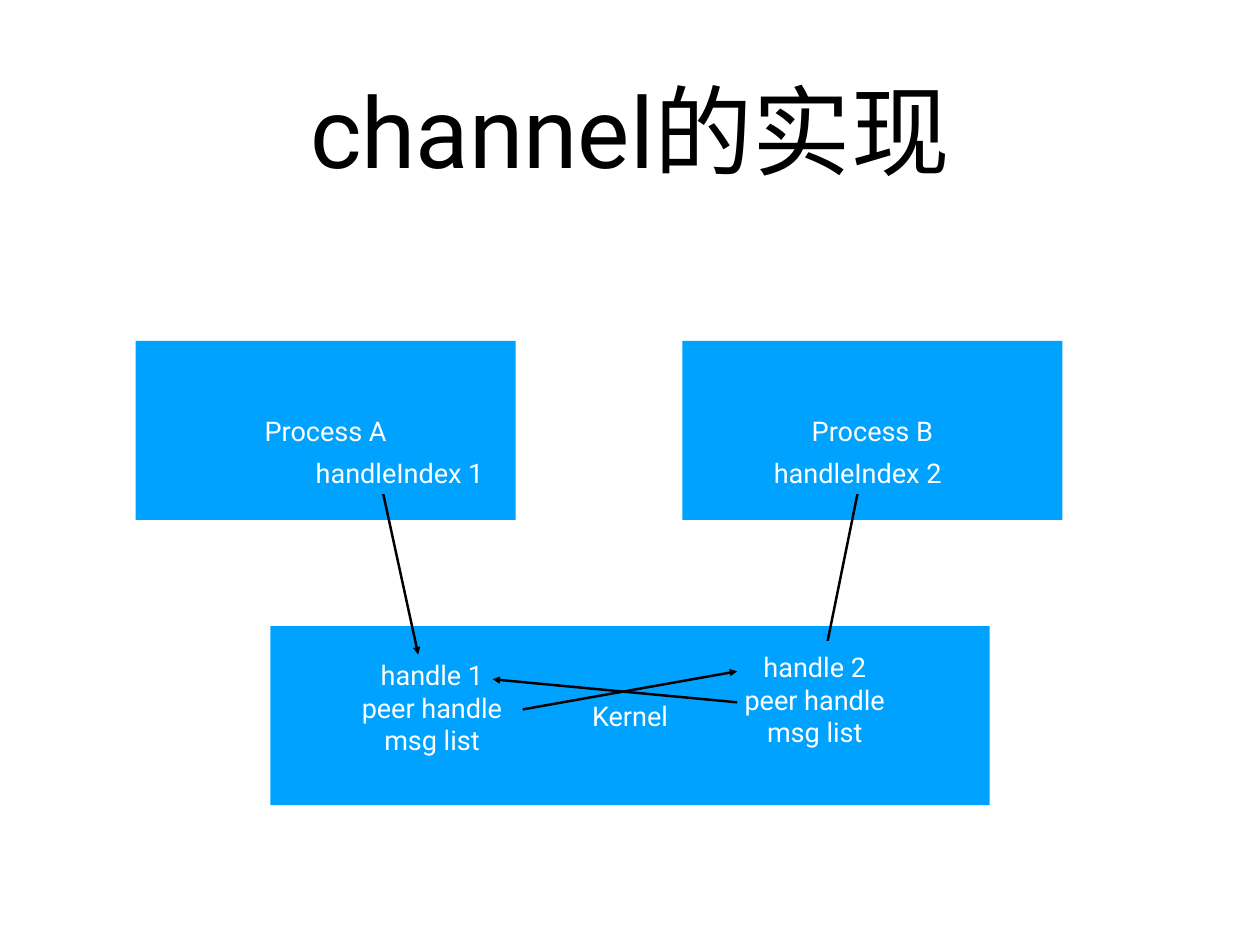
"""Build the slide that shows how a channel links two processes through the kernel."""
from pptx import Presentation
from pptx.dml.color import RGBColor
from pptx.enum.shapes import MSO_CONNECTOR as Connector, MSO_SHAPE as Shape
from pptx.enum.text import MSO_ANCHOR as Anchor, MSO_AUTO_SIZE as AutoSize, PP_ALIGN as Align
from pptx.oxml.ns import qn
from pptx.util import Inches, Pt
from lxml.etree import SubElement


def color(value):
    return RGBColor.from_string(value)


class ChannelSlide:
    FONT = "Roboto"
    BLUE, BLACK, WHITE = "00A2FF", "000000", "FFFFFF"
    INSET = 0.06

    def __init__(self, deck):
        self.slide = deck.slides.add_slide(deck.slide_layouts[5])

    def place(self, shape, left, top, width, height):
        shape.left, shape.top = Inches(left), Inches(top)
        shape.width, shape.height = Inches(width), Inches(height)

    def set_text(self, shape, text, size, font_color):
        frame = shape.text_frame
        frame.text = text
        frame.word_wrap = True
        frame.auto_size = AutoSize.NONE
        frame.vertical_anchor = Anchor.MIDDLE
        frame.margin_left = frame.margin_right = Inches(self.INSET)
        frame.margin_top = frame.margin_bottom = Inches(self.INSET)
        for para in frame.paragraphs:
            para.alignment = Align.CENTER
            for span in para.runs:
                span.font.name = self.FONT
                span.font.size = Pt(size)
                span.font.color.rgb = color(font_color)

    def title(self, text, *bounds):
        title = self.slide.shapes.title
        self.place(title, *bounds)
        self.set_text(title, text, 80, self.BLACK)

    def box(self, text, *bounds):
        box = self.slide.shapes.add_shape(Shape.RECTANGLE, *map(Inches, bounds))
        box.shadow.inherit = False
        box.fill.solid()
        box.fill.fore_color.rgb = color(self.BLUE)
        box.line.fill.background()
        self.set_text(box, text, 22, self.WHITE)

    def arrow(self, start, end):
        arrow = self.slide.shapes.add_connector(
            Connector.STRAIGHT, *map(Inches, start + end))
        arrow.line.color.rgb = color(self.BLACK)
        arrow.line.width = Pt(2)
        properties = arrow._element.spPr
        SubElement(properties.find(qn("a:ln")), qn("a:tailEnd"), type="triangle")
        SubElement(properties, qn("a:effectLst"))


deck = Presentation()
deck.slide_width, deck.slide_height = Inches(14.22), Inches(10.67)
channel = ChannelSlide(deck)

PROCESS_SIZE = (4.29, 2.02)
INDEX_SIZE = (2.32, 0.49)
HANDLE_SIZE = (1.91, 1.31)
HANDLE_TEXT = "handle {}\npeer handle\nmsg list"

channel.title("channel的实现", 1.04, 0.28, 12.14, 2.36)
for name, left in (("A", 1.53), ("B", 7.7)):
    channel.box(f"Process {name}", left, 3.85, *PROCESS_SIZE)
channel.box("Kernel", 3.05, 7.07, 8.12, 2.02)
channel.box(HANDLE_TEXT.format(1), 3.92, 7.33, *HANDLE_SIZE)

channel.arrow((4.28, 5.37), (4.72, 7.39))
channel.arrow((9.76, 5.17), (9.31, 7.39))
for number, left in ((1, 3.35), (2, 8.52)):
    channel.box(f"handleIndex {number}", left, 5.09, *INDEX_SIZE)
channel.box(HANDLE_TEXT.format(2), 8.24, 7.24, *HANDLE_SIZE)

channel.arrow((5.9, 8.01), (8.32, 7.58))
channel.arrow((8.32, 7.93), (5.56, 7.67))

deck.save("out.pptx")
